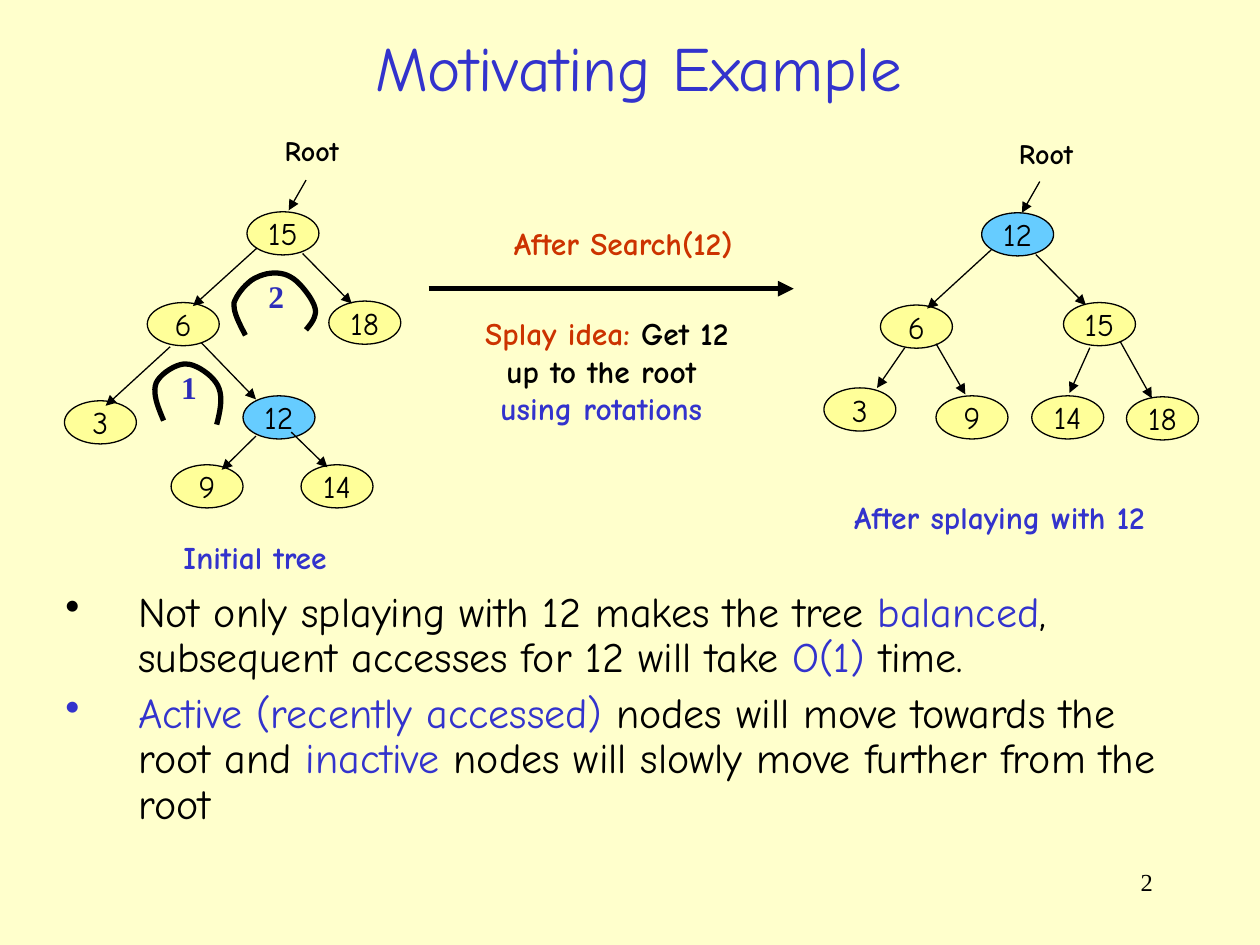
"""Build the motivating example slide for splay trees."""

import dataclasses
import typing

import lxml.etree
import pptx
import pptx.dml.color
import pptx.enum.shapes
import pptx.enum.text
import pptx.oxml.ns
import pptx.slide
import pptx.text.text
import pptx.util

Cm = pptx.util.Cm
Pt = pptx.util.Pt
Align = pptx.enum.text.PP_ALIGN
Anchor = pptx.enum.text.MSO_ANCHOR
qn = pptx.oxml.ns.qn


@dataclasses.dataclass(frozen=True)
class Theme:
    background: str = "FFFFCC"
    ink: str = "000000"
    blue: str = "3333CC"
    red: str = "CC3300"
    step: str = "2D2DB9"
    node: str = "FFFF99"
    target: str = "66CCFF"
    font: str = "Comic Neue"
    serif: str = "Times New Roman"
    title_size: int = 36
    body_size: int = 24
    label_size: int = 18
    root_size: int = 16
    number_size: int = 14
    thin: float = 0.75
    thick: float = 3


THEME = Theme()


class Run(typing.NamedTuple):
    text: str
    color: str = THEME.ink


class Point(typing.NamedTuple):
    x: float
    y: float


class Node(typing.NamedTuple):
    key: str
    left: float
    top: float
    fill: str = THEME.node


class Edge(typing.NamedTuple):
    x1: float
    y1: float
    x2: float
    y2: float
    width: float = THEME.thin


@dataclasses.dataclass(frozen=True)
class Label:
    left: float
    top: float
    width: float
    height: float
    paragraphs: tuple[tuple[Run, ...], ...]
    size: int = THEME.label_size
    font: str = THEME.font
    bold: bool = True
    align: Align = Align.LEFT
    anchor: Anchor = Anchor.TOP
    wrap: bool = False
    bullets: bool = False


@dataclasses.dataclass(frozen=True)
class Arc:
    start: Point
    curves: tuple[tuple[float, ...], ...]


NODE_WIDTH, NODE_HEIGHT = 1.45, 0.87
CURVE_STEPS = 10
BULLET_INDENT = 1.47

NODES = (
    Node("15", 4.98, 4.27), Node("6", 2.97, 6.1), Node("18", 6.63, 6.07),
    Node("3", 1.3, 8.08), Node("12", 4.9, 7.98, THEME.target),
    Node("9", 3.45, 9.37), Node("14", 6.07, 9.37),
    Node("12", 19.79, 4.29, THEME.target), Node("6", 17.75, 6.15),
    Node("15", 21.44, 6.1), Node("3", 16.61, 7.82), Node("9", 18.87, 7.98),
    Node("14", 20.8, 7.98), Node("18", 22.71, 8),
)
EDGES = (
    Edge(6.17, 3.63, 5.82, 4.24), Edge(5.18, 5, 3.89, 6.17),
    Edge(6.1, 5.11, 7.09, 6.12), Edge(3.43, 6.99, 2.13, 8.18),
    Edge(4.06, 6.91, 5.16, 8.05), Edge(5.16, 8.79, 4.47, 9.47),
    Edge(5.87, 8.71, 6.6, 9.42),
    Edge(8.64, 5.82, 16, 5.82, THEME.thick),
    Edge(20.96, 3.66, 20.6, 4.29), Edge(19.99, 5.03, 18.69, 6.22),
    Edge(20.88, 5.13, 21.89, 6.15), Edge(18.24, 7.01, 17.68, 7.82),
    Edge(18.87, 6.93, 19.46, 7.95), Edge(21.97, 7.01, 21.56, 7.92),
    Edge(22.58, 6.88, 23.22, 8.03),
)
ARCS = (
    Arc(Point(4.37, 8.56), (
        (4.45, 8.26, 4.5, 7.98, 4.39, 7.77), (4.29, 7.57, 3.96, 7.34, 3.76, 7.34),
        (3.56, 7.32, 3.23, 7.54, 3.15, 7.72), (3.07, 7.92, 3.18, 8.2, 3.3, 8.48))),
    Arc(Point(4.95, 6.76), (
        (4.83, 6.53, 4.7, 6.3, 4.72, 6.1), (4.78, 5.92, 5, 5.66, 5.18, 5.59),
        (5.38, 5.49, 5.66, 5.46, 5.87, 5.59), (6.05, 5.69, 6.3, 6.02, 6.35, 6.2),
        (6.4, 6.38, 6.27, 6.53, 6.17, 6.65))),
)
LABELS = (
    Label(18.21, 17.35, 5.28, 1.27, ((Run("2"),),), THEME.number_size,
          THEME.serif, False, Align.RIGHT, wrap=True),
    Label(0.76, 0.38, 24.23, 1.93, ((Run("Motivating Example", THEME.blue),),),
          THEME.title_size, bold=False, align=Align.CENTER, anchor=Anchor.MIDDLE, wrap=True),
    Label(3.45, 10.72, 3.4, 1.02, ((Run("Initial tree", THEME.blue),),)),
    Label(5.49, 2.57, 1.6, 0.94, ((Run("Root"),),), THEME.root_size),
    Label(20.29, 2.62, 1.6, 0.94, ((Run("Root"),),), THEME.root_size),
    Label(16.97, 9.91, 6.38, 1.02, ((Run("After splaying with 12", THEME.blue),),)),
    Label(10.11, 4.39, 4.95, 1.02, ((Run("After Search(12)", THEME.red),),)),
    Label(9.53, 6.2, 5.41, 2.54, (
        (Run("Splay idea:", THEME.red), Run(" Get 12")),
        (Run("up to the root "),),
        (Run("using rotations ", THEME.blue),)), align=Align.CENTER),
    Label(1.07, 11.79, 23.16, 5.44, (
        (Run("Not only splaying with 12 makes the tree "), Run("balanced", THEME.blue),
         Run(", subsequent accesses for 12 will take "), Run("O(1)", THEME.blue), Run(" time.")),
        (Run("Active (recently accessed)", THEME.blue),
         Run(" nodes will move towards the root and "), Run("inactive", THEME.blue),
         Run(" nodes will slowly move further from the root"))),
        THEME.body_size, bold=False, wrap=True, bullets=True),
    Label(3.4, 7.29, 0.81, 1.02, ((Run("1", THEME.step),),), font=THEME.serif),
    Label(5.16, 5.46, 0.81, 1.02, ((Run("2", THEME.step),),), font=THEME.serif),
)


def rgb(color: str) -> pptx.dml.color.RGBColor:
    return pptx.dml.color.RGBColor.from_string(color)


def set_font(font: pptx.text.text.Font, name: str, size: int, bold: bool) -> None:
    font.name, font.size, font.bold = name, Pt(size), bold


def add_bullet(paragraph: pptx.text.text._Paragraph, color: str) -> None:
    properties = paragraph._p.get_or_add_pPr()
    properties.set("marL", str(Cm(BULLET_INDENT)))
    properties.set("indent", str(-Cm(BULLET_INDENT)))
    bullet_color = lxml.etree.SubElement(properties, qn("a:buClr"))
    lxml.etree.SubElement(bullet_color, qn("a:srgbClr"), val=color)
    lxml.etree.SubElement(properties, qn("a:buChar"), char="•")
    paragraph.line_spacing, paragraph.space_before = 0.9, Pt(6)


def add_label(slide: pptx.slide.Slide, label: Label) -> None:
    box = slide.shapes.add_textbox(*map(Cm, (label.left, label.top, label.width, label.height)))
    frame = box.text_frame
    frame.word_wrap, frame.vertical_anchor = label.wrap, label.anchor
    for index, runs in enumerate(label.paragraphs):
        paragraph = frame.add_paragraph() if index else frame.paragraphs[0]
        paragraph.alignment = label.align
        if label.bullets:
            add_bullet(paragraph, runs[0].color)
        set_font(paragraph.font, label.font, label.size, label.bold)
        for part in runs:
            run = paragraph.add_run()
            run.text = part.text
            run.font.color.rgb = rgb(part.color)


def add_node(slide: pptx.slide.Slide, node: Node) -> None:
    shape = slide.shapes.add_shape(pptx.enum.shapes.MSO_SHAPE.OVAL, Cm(node.left), Cm(node.top),
                                   Cm(NODE_WIDTH), Cm(NODE_HEIGHT))
    shape.shadow.inherit = False
    shape.fill.solid()
    shape.fill.fore_color.rgb = rgb(node.fill)
    shape.line.color.rgb, shape.line.width = rgb(THEME.ink), Pt(THEME.thin)
    frame = shape.text_frame
    frame.word_wrap, frame.vertical_anchor = False, Anchor.MIDDLE
    paragraph = frame.paragraphs[0]
    paragraph.text, paragraph.alignment = node.key, Align.CENTER
    set_font(paragraph.font, THEME.font, THEME.label_size, False)
    paragraph.font.color.rgb = rgb(THEME.ink)


def add_edge(slide: pptx.slide.Slide, edge: Edge) -> None:
    connector = slide.shapes.add_connector(pptx.enum.shapes.MSO_CONNECTOR.STRAIGHT, *map(Cm, edge[:4]))
    connector.line.color.rgb, connector.line.width = rgb(THEME.ink), Pt(edge.width)
    lxml.etree.SubElement(connector.line._get_or_add_ln(), qn("a:tailEnd"), type="triangle")
    lxml.etree.SubElement(connector._element.spPr, qn("a:effectLst"))


def curve_points(start: Point, curve: tuple[float, ...]) -> list[Point]:
    def blend(t: float, a: float, b: float, c: float, d: float) -> float:
        s = 1 - t
        return s**3 * a + 3 * s * s * t * b + 3 * s * t * t * c + t**3 * d

    steps = [step / CURVE_STEPS for step in range(1, CURVE_STEPS + 1)]
    return [Point(blend(t, start.x, *curve[::2]), blend(t, start.y, *curve[1::2])) for t in steps]


def add_arc(slide: pptx.slide.Slide, arc: Arc) -> None:
    points = [arc.start]
    for curve in arc.curves:
        points += curve_points(points[-1], curve)
    builder = slide.shapes.build_freeform(*map(Cm, arc.start))
    builder.add_line_segments([(Cm(point.x), Cm(point.y)) for point in points[1:]], close=False)
    shape = builder.convert_to_shape()
    shape.shadow.inherit = False
    shape.fill.background()
    shape.line.color.rgb, shape.line.width = rgb(THEME.ink), Pt(THEME.thick)


def main() -> None:
    presentation = pptx.Presentation()
    presentation.slide_width, presentation.slide_height = Cm(25.4), Cm(19.05)
    slide = presentation.slides.add_slide(presentation.slide_layouts[6])
    slide.background.fill.solid()
    slide.background.fill.fore_color.rgb = rgb(THEME.background)
    for draw, items in ((add_node, NODES), (add_edge, EDGES), (add_arc, ARCS), (add_label, LABELS)):
        for item in items:
            draw(slide, item)
    presentation.save("out.pptx")


if __name__ == "__main__":
    main()
